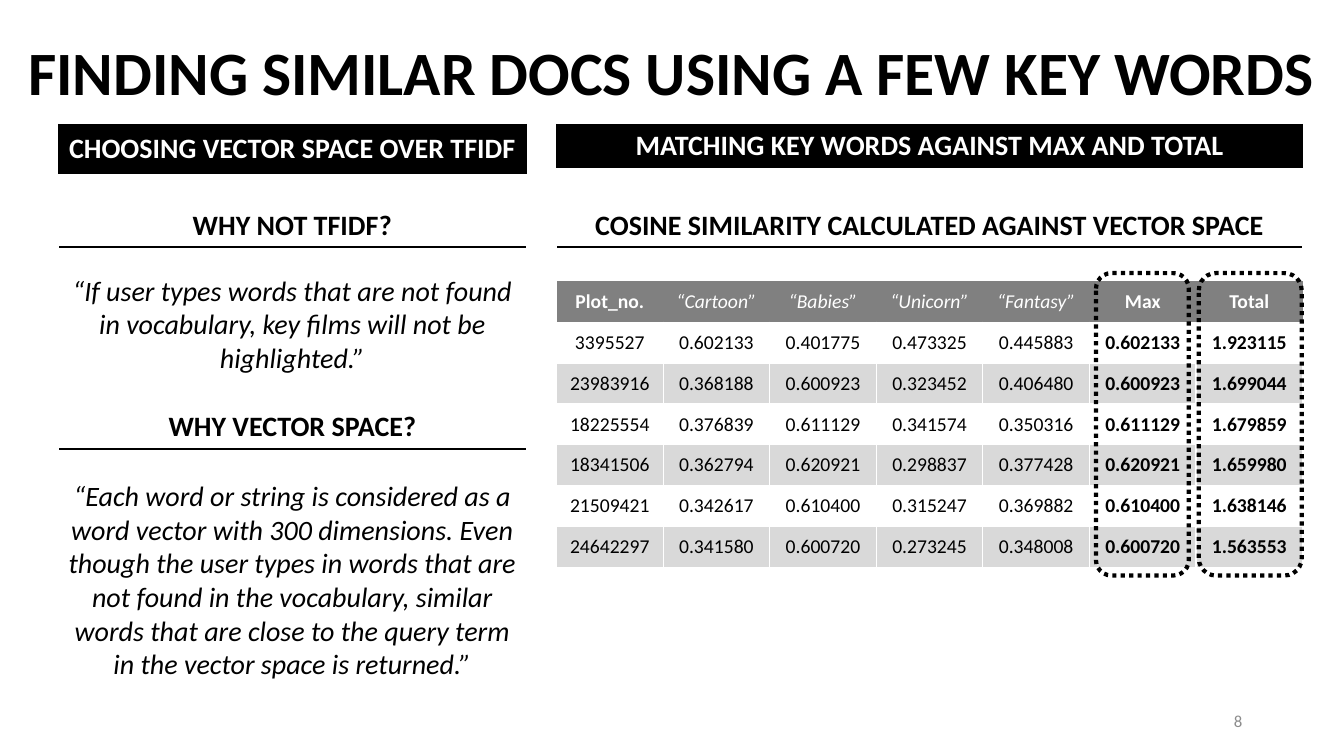
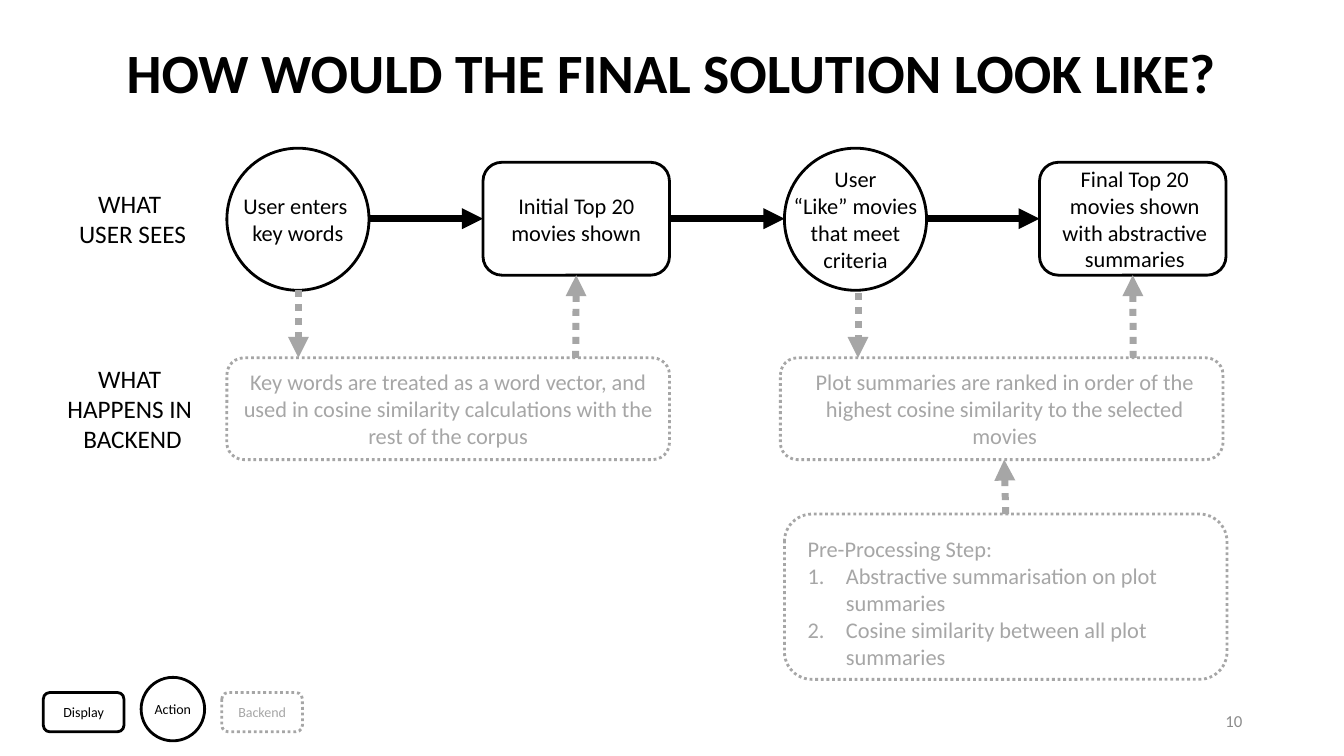
from lxml import etree
from pptx import Presentation
from pptx.dml.color import RGBColor
from pptx.enum.dml import MSO_LINE
from pptx.enum.shapes import MSO_CONNECTOR, MSO_SHAPE
from pptx.enum.text import MSO_ANCHOR, PP_ALIGN
from pptx.oxml.ns import qn
from pptx.util import Emu, Pt

EMU_PER_PX = 9144
BLACK = RGBColor(0x00, 0x00, 0x00)
WHITE = RGBColor(0xFF, 0xFF, 0xFF)
BACKEND_GREY = RGBColor(0xA6, 0xA6, 0xA6)
HEADER_GREY = RGBColor(0x80, 0x80, 0x80)
BAND_GREY = RGBColor(0xD9, 0xD9, 0xD9)
NUMBER_GREY = RGBColor(0x8C, 0x8C, 0x8C)

LEFT, CENTER, RIGHT = PP_ALIGN.LEFT, PP_ALIGN.CENTER, PP_ALIGN.RIGHT
TOP, MIDDLE = MSO_ANCHOR.TOP, MSO_ANCHOR.MIDDLE
ROUNDED, ELLIPSE = MSO_SHAPE.ROUNDED_RECTANGLE, MSO_SHAPE.OVAL
STRAIGHT = MSO_CONNECTOR.STRAIGHT
DOTTED = MSO_LINE.ROUND_DOT
SITE_TOP, SITE_LEFT, SITE_BOTTOM, SITE_RIGHT = range(4)

FONT = "Calibri"
MARGINS = ("margin_left", "margin_top", "margin_right", "margin_bottom")
TEXT_MARGINS = (10, 5, 10, 5)
SHAPE_MARGINS = (5, 0, 5, 0)
BORDER_TAGS = {"left": "a:lnL", "right": "a:lnR", "top": "a:lnT", "bottom": "a:lnB"}

BANNER_BORDERS = {"left": (BLACK, 1), "right": (BLACK, 1)}
WHITE_BORDERS = {side: (WHITE, 1) for side in BORDER_TAGS}
HEADING_BORDERS = {**WHITE_BORDERS, "bottom": (BLACK, 1.5)}

LEFT_COLUMN, LEFT_WIDTH = 58, 464
RIGHT_COLUMN, RIGHT_WIDTH = 552, 740

SCORE_HEADER = ["Plot_no.", "“Cartoon”", "“Babies”", "“Unicorn”", "“Fantasy”", "Max", "Total"]
SCORES = [
    ["3395527", "0.602133", "0.401775", "0.473325", "0.445883", "0.602133", "1.923115"],
    ["23983916", "0.368188", "0.600923", "0.323452", "0.406480", "0.600923", "1.699044"],
    ["18225554", "0.376839", "0.611129", "0.341574", "0.350316", "0.611129", "1.679859"],
    ["18341506", "0.362794", "0.620921", "0.298837", "0.377428", "0.620921", "1.659980"],
    ["21509421", "0.342617", "0.610400", "0.315247", "0.369882", "0.610400", "1.638146"],
    ["24642297", "0.341580", "0.600720", "0.273245", "0.348008", "0.600720", "1.563553"],
]
KEY_WORD_COLUMNS = range(1, 5)
SUMMARY_COLUMNS = range(5, 7)


def px(length):
    return Emu(length * EMU_PER_PX)


def box(bounds):
    return [px(length) for length in bounds]


def set_values(target, values):
    for name, value in values.items():
        setattr(target, name, value)


def write(frame, lines, size, color=BLACK, align=CENTER, spacing=1.0, **font_values):
    for index, line in enumerate(lines):
        paragraph = frame.paragraphs[0] if index == 0 else frame.add_paragraph()
        set_values(paragraph, {"alignment": align, "line_spacing": spacing})
        run = paragraph.add_run()
        run.text = line
        set_values(run.font, {"name": FONT, "size": Pt(size), **font_values})
        run.font.color.rgb = color


def set_frame(frame, anchor, wrap, margins):
    set_values(frame, {"vertical_anchor": anchor, "word_wrap": wrap})
    set_values(frame, dict(zip(MARGINS, box(margins))))


def number_paragraphs(paragraphs, indent):
    for paragraph in paragraphs:
        properties = paragraph._p.get_or_add_pPr()
        properties.set("marL", str(px(indent)))
        properties.set("indent", str(-px(indent)))
        etree.SubElement(properties, qn("a:buAutoNum"), type="arabicPeriod")


def add_text(slide, bounds, lines, size, anchor=MIDDLE, wrap=True, **text_values):
    frame = slide.shapes.add_textbox(*box(bounds)).text_frame
    set_frame(frame, anchor, wrap, TEXT_MARGINS)
    write(frame, lines, size, **text_values)


def add_outlined(slide, kind, bounds, color=BLACK, width=2, dash=None, fill=WHITE):
    shape = slide.shapes.add_shape(kind, *box(bounds))
    shape.shadow.inherit = False
    if fill is None:
        shape.fill.background()
    else:
        shape.fill.solid()
        shape.fill.fore_color.rgb = fill
    shape.line.color.rgb = color
    set_values(shape.line, {"width": Pt(width), "dash_style": dash})
    return shape


def add_display(slide, bounds, lines, size=16, margins=SHAPE_MARGINS):
    shape = add_outlined(slide, ROUNDED, bounds)
    set_frame(shape.text_frame, MIDDLE, True, margins)
    write(shape.text_frame, lines, size)
    return shape


def add_action(slide, left, top, diameter, lines, size=16):
    shape = add_outlined(slide, ELLIPSE, (left, top, diameter, diameter))
    set_frame(shape.text_frame, MIDDLE, False, (0, 0, 0, 0))
    write(shape.text_frame, lines, size)


def add_backend(slide, bounds, lines, size=16, align=CENTER, margins=SHAPE_MARGINS):
    shape = add_outlined(slide, ROUNDED, bounds, BACKEND_GREY, dash=DOTTED)
    set_frame(shape.text_frame, MIDDLE, True, margins)
    write(shape.text_frame, lines, size, BACKEND_GREY, align)
    return shape


def add_arrow(slide, start, end, color=BLACK, dash=None, source=None, target=None):
    connector = slide.shapes.add_connector(STRAIGHT, *box(start + end))
    if source:
        connector.begin_connect(*source)
    if target:
        connector.end_connect(*target)
    connector.line.color.rgb = color
    set_values(connector.line, {"width": Pt(5), "dash_style": dash})
    etree.SubElement(connector.line._get_or_add_ln(), qn("a:tailEnd"), type="triangle")
    etree.SubElement(connector._element.spPr, qn("a:effectLst"))


def set_borders(cell, borders):
    properties = cell._tc.get_or_add_tcPr()
    for side, tag in BORDER_TAGS.items():
        line = etree.SubElement(properties, qn(tag))
        if side in borders:
            color, width = borders[side]
            line.set("w", str(Pt(width)))
            fill = etree.SubElement(line, qn("a:solidFill"))
            etree.SubElement(fill, qn("a:srgbClr"), val=str(color))
        else:
            etree.SubElement(line, qn("a:noFill"))


def add_plain_table(slide, rows, columns, bounds):
    table = slide.shapes.add_table(rows, columns, *box(bounds)).table
    set_values(table, {"first_row": False, "horz_banding": False})
    return table


def fill_cell(cell, text, size, color, fill, borders, **font_values):
    set_borders(cell, borders)
    if fill is None:
        cell.fill.background()
    else:
        cell.fill.solid()
        cell.fill.fore_color.rgb = fill
    cell.vertical_anchor = MIDDLE
    write(cell.text_frame, [text], size, color, **font_values)


def add_banner(slide, bounds, text):
    cell = add_plain_table(slide, 1, 1, bounds).cell(0, 0)
    fill_cell(cell, text, 20, WHITE, BLACK, BANNER_BORDERS, bold=True)


def add_heading(slide, left, top, width, text):
    cell = add_plain_table(slide, 1, 1, (left, top, width, 43)).cell(0, 0)
    fill_cell(cell, text, 20, BLACK, None, HEADING_BORDERS, bold=True)


def add_score_table(slide, bounds):
    table = add_plain_table(slide, len(SCORES) + 1, len(SCORE_HEADER), bounds)
    for column, text in enumerate(SCORE_HEADER):
        key_word = column in KEY_WORD_COLUMNS
        fill_cell(table.cell(0, column), text, 14, WHITE, HEADER_GREY, {},
                  bold=not key_word, italic=key_word)
    for row, scores in enumerate(SCORES, start=1):
        fill = BAND_GREY if row % 2 == 0 else None
        for column, text in enumerate(scores):
            fill_cell(table.cell(row, column), text, 14, BLACK, fill, WHITE_BORDERS,
                      bold=column in SUMMARY_COLUMNS)


def add_slide(presentation, title, title_left, title_width, title_size, number):
    slide = presentation.slides.add_slide(presentation.slide_layouts[6])
    add_text(slide, (title_left, 19, title_width, 112), [title], title_size,
             spacing=0.9, bold=True)
    add_text(slide, (942, 695, 300, 40), [number], 12, color=NUMBER_GREY, align=RIGHT)
    return slide


def build_key_words(presentation):
    slide = add_slide(presentation, "FINDING SIMILAR DOCS USING A FEW KEY WORDS",
                      0, 1333, 44, "8")
    add_banner(slide, (LEFT_COLUMN, 123, LEFT_WIDTH, 50), "CHOOSING VECTOR SPACE OVER TFIDF")
    add_banner(slide, (RIGHT_COLUMN, 123, RIGHT_WIDTH, 43),
               "MATCHING KEY WORDS AGAINST MAX AND TOTAL")
    for left, top, width, text in (
        (LEFT_COLUMN, 202, LEFT_WIDTH, "WHY NOT TFIDF?"),
        (LEFT_COLUMN, 402, LEFT_WIDTH, "WHY VECTOR SPACE?"),
        (RIGHT_COLUMN, 202, RIGHT_WIDTH, "COSINE SIMILARITY CALCULATED AGAINST VECTOR SPACE"),
    ):
        add_heading(slide, left, top, width, text)
    for top, height, text in (
        (266, 111, "“If user types words that are not found in vocabulary, "
                   "key films will not be highlighted.”"),
        (470, 212, "“Each word or string is considered as a word vector with 300 dimensions. "
                   "Even though the user types in words that are not found in the vocabulary, "
                   "similar words that are close to the query term in the vector space "
                   "is returned.”"),
    ):
        add_text(slide, (LEFT_COLUMN, top, LEFT_WIDTH, height), [text], 20, TOP, italic=True)
    add_score_table(slide, (RIGHT_COLUMN, 279, RIGHT_WIDTH, 284))
    for left, width in ((1087, 92), (1189, 102)):
        add_outlined(slide, ROUNDED, (left, 271, width, 300), width=3, dash=DOTTED, fill=None)


def build_solution(presentation):
    slide = add_slide(presentation, "HOW WOULD THE FINAL SOLUTION LOOK LIKE?",
                      56, 1220, 39.6, "10")
    add_text(slide, (68, 182, 127, 71), ["WHAT ", "USER SEES"], 18, TOP, False)
    add_text(slide, (56, 355, 151, 101), ["WHAT ", "HAPPENS IN ", "BACKEND"], 18, TOP, False)

    add_action(slide, 225, 147, 141, ["User enters ", "key words"])
    initial = add_display(slide, (479, 161, 185, 112), ["Initial Top 20 movies shown"])
    add_action(slide, 778, 147, 141, ["User", "“Like” movies", "that meet", "criteria"])
    final = add_display(slide, (1031, 161, 185, 112),
                        ["Final Top 20 movies shown with abstractive summaries"],
                        margins=(7, 0, 3, 0))

    add_backend(slide, (225, 355, 439, 101),
                ["Key words are treated as a word vector, and used in cosine similarity "
                 "calculations with the rest of the corpus"])
    add_backend(slide, (774, 355, 439, 101),
                ["Plot summaries are ranked in order of the highest cosine similarity "
                 "to the selected movies"], margins=(8, 0, 2, 0))
    preparation = add_backend(slide, (778, 510, 439, 164),
                              ["Pre-Processing Step:",
                               "Abstractive summarisation on plot summaries",
                               "Cosine similarity between all plot summaries"],
                              align=LEFT, margins=(15, 12, 19, 0))
    number_paragraphs(preparation.text_frame.paragraphs[1:], 38)

    add_arrow(slide, (366, 217), (479, 217), target=(initial, SITE_LEFT))
    add_arrow(slide, (664, 217), (778, 217), source=(initial, SITE_RIGHT))
    add_arrow(slide, (919, 217), (1031, 217), target=(final, SITE_LEFT))
    for start, end, joins in (
        ((296, 288), (296, 355), {}),
        ((571, 355), (571, 273), {"target": (initial, SITE_BOTTOM)}),
        ((851, 291), (851, 355), {}),
        ((1124, 355), (1124, 273), {"target": (final, SITE_BOTTOM)}),
        ((997, 510), (996, 456), {"source": (preparation, SITE_TOP)}),
    ):
        add_arrow(slide, start, end, BACKEND_GREY, DOTTED, **joins)

    add_display(slide, (43, 687, 80, 39), ["Display"], 10)
    add_action(slide, 140, 672, 63, ["Action"], 10)
    add_backend(slide, (220, 687, 80, 39), ["Backend"], 10)


def main():
    presentation = Presentation()
    set_values(presentation, {"slide_width": px(1333), "slide_height": px(750)})
    build_key_words(presentation)
    build_solution(presentation)
    presentation.save("out.pptx")


if __name__ == "__main__":
    main()
